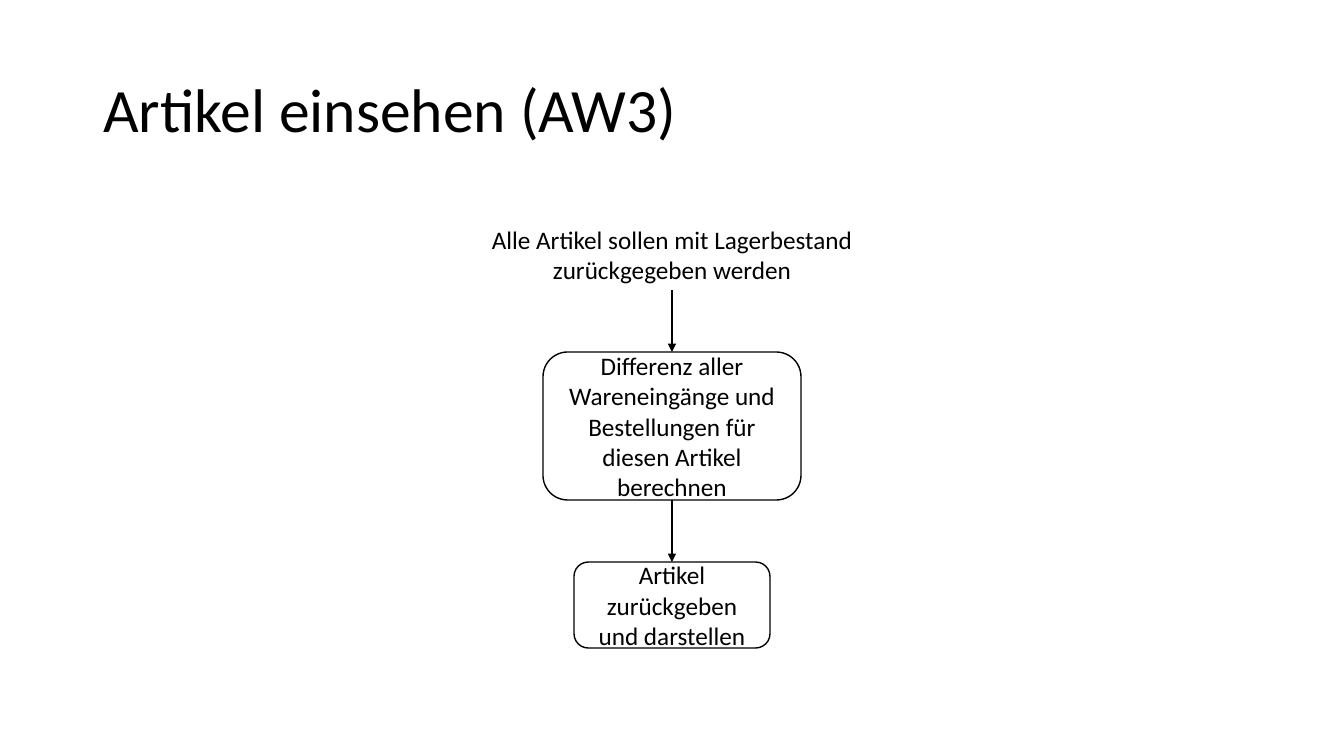
import dataclasses

import pptx
import pptx.dml.color
import pptx.enum.shapes
import pptx.enum.text
import pptx.oxml
import pptx.oxml.ns
import pptx.util

PX = 914400 / 100.8
SLIDE_W, SLIDE_H = 1344, 756
CENTER = SLIDE_W // 2
FLOW_TOP, GAP = 219, 62
FONT = "Calibri"
COLORS = {"ink": "000000", "paper": "FFFFFF"}
ALIGN = pptx.enum.text.PP_ALIGN
ANCHOR = pptx.enum.text.MSO_ANCHOR


@dataclasses.dataclass(frozen=True)
class Step:
    """One step of the flow, centred on the slide."""
    text: str
    width: int
    height: int
    boxed: bool = True


STEPS = [
    Step("Alle Artikel sollen mit Lagerbestand zurückgegeben werden", 398, 71, boxed=False),
    Step("Differenz aller Wareneingänge und Bestellungen für diesen Artikel berechnen", 258, 148),
    Step("Artikel zurückgeben und darstellen", 196, 86),
]


def px(n: float) -> pptx.util.Emu:
    """Turn pixels into EMU."""
    return pptx.util.Emu(round(n * PX))


def rgb(name: str) -> pptx.dml.color.RGBColor:
    """Look up a named colour."""
    return pptx.dml.color.RGBColor.from_string(COLORS[name])


def write(sp, text: str, *, size: int = 18, align=ALIGN.CENTER,
          anchor=ANCHOR.MIDDLE, spacing: float = 1.0) -> None:
    """Put formatted, wrapped text into a shape."""
    tf = sp.text_frame
    tf.word_wrap = True
    tf.vertical_anchor = anchor
    p = tf.paragraphs[0]
    p.alignment = align
    p.line_spacing = spacing
    r = p.add_run()
    r.text = text
    r.font.name = FONT
    r.font.size = pptx.util.Pt(size)
    r.font.color.rgb = rgb("ink")


def set_line(line) -> None:
    """Give an outline or connector the diagram's line style."""
    line.color.rgb = rgb("ink")
    line.width = pptx.util.Pt(1)


def add_title(s, text: str) -> None:
    """Fill and place the title placeholder."""
    sp = s.shapes.title
    sp.left, sp.top, sp.width, sp.height = map(px, (93, 40, 1159, 146))
    write(sp, text, size=44, align=ALIGN.LEFT, spacing=0.9)
    sp.text_frame.auto_size = pptx.enum.text.MSO_AUTO_SIZE.NONE


def add_step(s, step: Step, top: int) -> None:
    """Draw a step as a rounded box or as plain text."""
    place = map(px, (CENTER - step.width / 2, top, step.width, step.height))
    if step.boxed:
        sp = s.shapes.add_shape(pptx.enum.shapes.MSO_SHAPE.ROUNDED_RECTANGLE, *place)
        sp.shadow.inherit = False
        sp.fill.solid()
        sp.fill.fore_color.rgb = rgb("paper")
        set_line(sp.line)
        write(sp, step.text)
    else:
        sp = s.shapes.add_textbox(*place)
        write(sp, step.text, anchor=ANCHOR.TOP)
        sp.text_frame.auto_size = pptx.enum.text.MSO_AUTO_SIZE.SHAPE_TO_FIT_TEXT


def add_arrow(s, top: int, bottom: int) -> None:
    """Draw a downward arrow on the centre line."""
    sp = s.shapes.add_connector(pptx.enum.shapes.MSO_CONNECTOR.STRAIGHT,
                                px(CENTER), px(top), px(CENTER), px(bottom))
    set_line(sp.line)
    tail = pptx.oxml.parse_xml(f'<a:tailEnd {pptx.oxml.ns.nsdecls("a")} type="triangle"/>')
    sp.line._get_or_add_ln().append(tail)
    effects = pptx.oxml.parse_xml(f'<a:effectLst {pptx.oxml.ns.nsdecls("a")}/>')
    sp._element.spPr.append(effects)


def add_flow(s, steps: list[Step]) -> None:
    """Stack the steps with an arrow in each gap."""
    top = FLOW_TOP
    for i, step in enumerate(steps):
        if i:
            add_arrow(s, top, top + GAP)
            top += GAP
        add_step(s, step, top)
        top += step.height


prs = pptx.Presentation()
prs.slide_width, prs.slide_height = px(SLIDE_W), px(SLIDE_H)
s = prs.slides.add_slide(prs.slide_layouts.get_by_name("Title Only"))
add_title(s, "Artikel einsehen (AW3)")
add_flow(s, STEPS)
prs.save("out.pptx")
